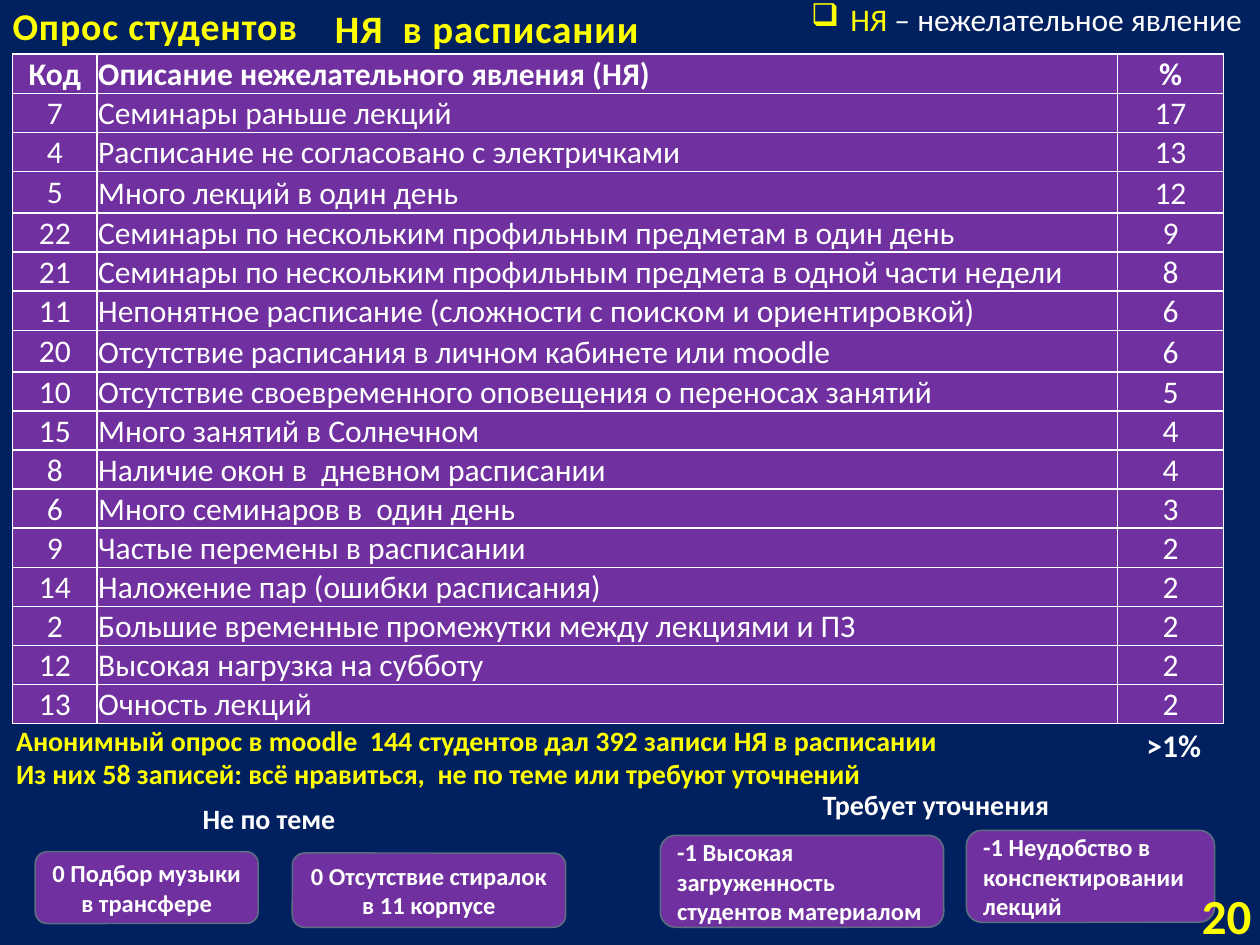
from lxml import etree
from pptx import Presentation
from pptx.dml.color import RGBColor
from pptx.enum.shapes import MSO_SHAPE
from pptx.enum.text import MSO_ANCHOR, MSO_AUTO_SIZE, PP_ALIGN
from pptx.oxml.ns import qn
from pptx.util import Inches, Pt

LEFT, CENTER, RIGHT, JUSTIFY = PP_ALIGN.LEFT, PP_ALIGN.CENTER, PP_ALIGN.RIGHT, PP_ALIGN.JUSTIFY
TOP, MIDDLE, BOTTOM = MSO_ANCHOR.TOP, MSO_ANCHOR.MIDDLE, MSO_ANCHOR.BOTTOM
FIT_SHAPE, NO_FIT = MSO_AUTO_SIZE.SHAPE_TO_FIT_TEXT, MSO_AUTO_SIZE.NONE
ROUNDED = MSO_SHAPE.ROUNDED_RECTANGLE

THEME = {
    "font": "Calibri",
    "background": "002060", "panel": "7030A0", "outline": "5D7080",
    "accent": "FFFF00", "text": "FFFFFF",
    "title": 21.6, "subtitle": 22.2, "body": 18, "note": 16, "card": 14, "number": 28,
}

# Content
TITLE = "Опрос студентов"
SUBTITLE = "НЯ  в расписании"
LEGEND = [("НЯ", "accent"), (" – нежелательное явление", "text")]
HEADER = ("Код", "Описание нежелательного явления (НЯ)", "%")
COMPLAINTS = [
    (7, "Семинары раньше лекций", 17),
    (4, "Расписание не согласовано с электричками", 13),
    (5, "Много лекций в один день", 12),
    (22, "Семинары по нескольким профильным предметам в один день", 9),
    (21, "Семинары по нескольким профильным предмета в одной части недели", 8),
    (11, "Непонятное расписание (сложности с поиском и ориентировкой)", 6),
    (20, "Отсутствие расписания в личном кабинете или moodle", 6),
    (10, "Отсутствие своевременного оповещения о переносах занятий", 5),
    (15, "Много занятий в Солнечном", 4),
    (8, "Наличие окон в  дневном расписании", 4),
    (6, "Много семинаров в  один день", 3),
    (9, "Частые перемены в расписании", 2),
    (14, "Наложение пар (ошибки расписания)", 2),
    (2, "Большие временные промежутки между лекциями и ПЗ", 2),
    (12, "Высокая нагрузка на субботу", 2),
    (13, "Очность лекций", 2),
]
COLUMN_WIDTHS = (0.67, 8.1, 0.84)
ROW_HEIGHT, TALL_ROW_HEIGHT = 0.31, 0.33
TALL_ROWS = (3, 7)
SUMMARY = [
    "Анонимный опрос в moodle  144 студентов дал 392 записи НЯ в расписании",
    "Из них 58 записей: всё нравиться,  не по теме или требуют уточнений",
]
# text, position and size, alignment
CARDS = [
    ("0 Отсутствие стиралок в 11 корпусе", (2.32, 6.77, 2.17, 0.59), CENTER),
    ("0 Подбор музыки в трансфере", (0.28, 6.76, 1.77, 0.57), CENTER),
    ("-1 Высокая загруженность студентов материалом", (5.24, 6.63, 2.25, 0.73), LEFT),
    ("-1 Неудобство в конспектировании лекций", (7.67, 6.59, 1.97, 0.73), LEFT),
]
# lines, position and size, type size, colour, alignment
NOTES = [
    (["Не по теме"], (1.51, 6.31, 1.44, 0.37), "note", "text", LEFT),
    (SUMMARY, (0.03, 5.69, 8.04, 0.64), "note", "accent", LEFT),
    (["Требует уточнения"], (6.43, 6.2, 2.12, 0.37), "note", "text", LEFT),
    ([">1%"], (8.99, 5.71, 0.65, 0.4), "body", "text", CENTER),
]


def color(name):
    return RGBColor.from_string(THEME[name])


def inches(box):
    return [Inches(v) for v in box]


def add_run(p, text, size, tone, bold=True, spacing=None):
    r = p.add_run()
    r.text = text
    r.font.name = THEME["font"]
    r.font.size = Pt(THEME[size])
    r.font.bold = bold
    r.font.color.rgb = color(tone)
    if spacing:
        r._r.get_or_add_rPr().set("spc", str(int(spacing * 100)))


def set_frame(tf, anchor=TOP, wrap=True, fit=NO_FIT):
    tf.word_wrap = wrap
    tf.auto_size = fit
    tf.vertical_anchor = anchor


def write(tf, lines, size, tone, align=LEFT, bold=True, spacing=None):
    for i, line in enumerate(lines):
        p = tf.add_paragraph() if i else tf.paragraphs[0]
        p.alignment = align
        add_run(p, line, size, tone, bold, spacing)


def add_text(s, lines, box, size, tone, align=LEFT, spacing=None, **frame):
    tf = s.shapes.add_textbox(*inches(box)).text_frame
    set_frame(tf, **frame)
    write(tf, lines, size, tone, align, spacing=spacing)


def add_card(s, text, box, align):
    sp = s.shapes.add_shape(ROUNDED, *inches(box))
    sp.shadow.inherit = False
    sp.fill.solid()
    sp.fill.fore_color.rgb = color("panel")
    sp.line.color.rgb = color("outline")
    sp.line.width = Pt(0.85)
    set_frame(sp.text_frame, MIDDLE)
    write(sp.text_frame, [text], "card", "text", align)


def set_borders(cell):
    tc_pr = cell._tc.get_or_add_tcPr()
    for i, side in enumerate(("lnL", "lnR", "lnT", "lnB")):
        ln = etree.Element(qn("a:" + side), w=str(Pt(1)))
        fill = etree.SubElement(ln, qn("a:solidFill"))
        etree.SubElement(fill, qn("a:srgbClr"), val=THEME["text"])
        tc_pr.insert(i, ln)


def add_complaints_table(s):
    rows = [HEADER, *COMPLAINTS]
    heights = [TALL_ROW_HEIGHT if i in TALL_ROWS else ROW_HEIGHT for i in range(len(rows))]
    box = (0.1, 0.43, sum(COLUMN_WIDTHS), sum(heights))
    table = s.shapes.add_table(len(rows), len(HEADER), *inches(box)).table
    table.horz_banding = False
    for column, width in zip(table.columns, COLUMN_WIDTHS):
        column.width = Inches(width)
    for i, values in enumerate(rows):
        table.rows[i].height = Inches(heights[i])
        description_align = LEFT if i else JUSTIFY
        for j, value in enumerate(values):
            cell = table.cell(i, j)
            cell.margin_left = cell.margin_right = cell.margin_top = Inches(0.01)
            cell.margin_bottom = 0
            cell.vertical_anchor = BOTTOM if j else MIDDLE
            cell.fill.solid()
            cell.fill.fore_color.rgb = color("panel")
            set_borders(cell)
            align = description_align if j == 1 else CENTER
            write(cell.text_frame, [str(value)], "body", "text", align, bold=i == 0)


def add_legend(s):
    tf = s.shapes.add_textbox(*inches((6.34, -0.05, 3.86, 0.4))).text_frame
    set_frame(tf, fit=FIT_SHAPE)
    p = tf.paragraphs[0]
    p_pr = p._p.get_or_add_pPr()
    p_pr.set("marL", str(Inches(0.31)))
    p_pr.set("indent", str(Inches(-0.31)))
    etree.SubElement(p_pr, qn("a:buChar"), char="❑")
    for text, tone in LEGEND:
        add_run(p, text, "body", tone, bold=False)


def main():
    prs = Presentation()
    prs.slide_width, prs.slide_height = Inches(10), Inches(7.5)
    s = prs.slides.add_slide(prs.slide_layouts[5])
    s.background.fill.solid()
    s.background.fill.fore_color.rgb = color("background")

    # Title
    title = s.shapes.title
    title.left, title.top, title.width, title.height = inches((0, 0.03, 2.72, 0.35))
    set_frame(title.text_frame, MIDDLE, wrap=False)
    write(title.text_frame, [TITLE], "title", "accent", spacing=0.5)

    # Cards and notes under the table
    for card in CARDS:
        add_card(s, *card)
    for note in NOTES:
        add_text(s, *note, fit=FIT_SHAPE)

    # Slide number
    add_text(s, ["20"], (9.08, 7.06, 0.95, 0.4), "number", "accent", RIGHT, anchor=MIDDLE)

    # Table, subtitle and legend
    add_complaints_table(s)
    add_text(s, [SUBTITLE], (2.56, 0, 2.81, 0.45), "subtitle", "accent",
             spacing=0.5, anchor=MIDDLE, wrap=False)
    add_legend(s)
    prs.save("out.pptx")


if __name__ == "__main__":
    main()
